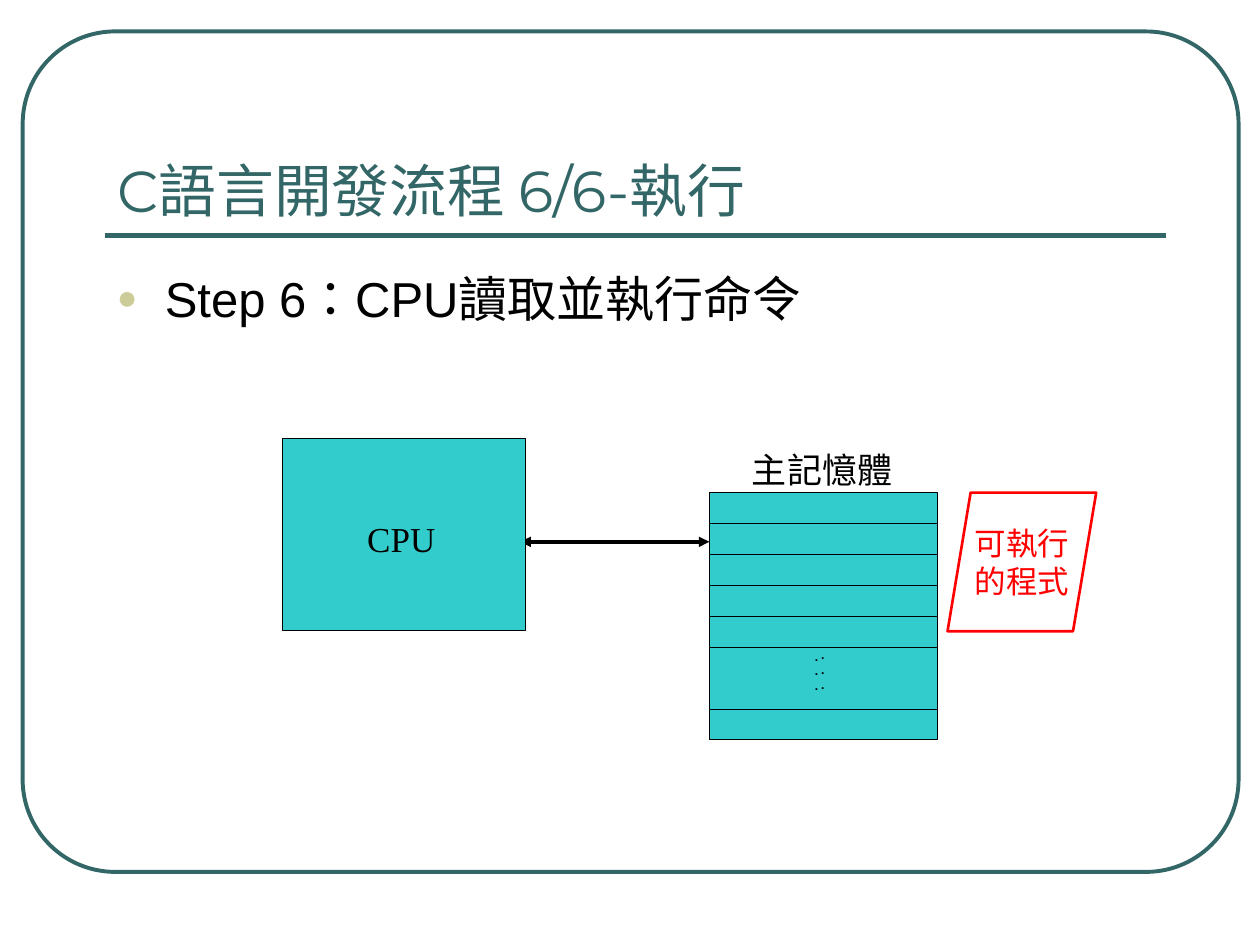
"""Builds the slide on step 6 of the C development flow: the CPU runs commands."""
from lxml import etree
from pptx import Presentation
from pptx.dml.color import RGBColor
from pptx.enum.lang import MSO_LANGUAGE_ID
from pptx.enum.shapes import MSO_CONNECTOR, MSO_SHAPE
from pptx.enum.text import MSO_ANCHOR, MSO_AUTO_SIZE, PP_ALIGN
from pptx.oxml.ns import qn
from pptx.util import Inches, Pt

LEFT, CENTER = PP_ALIGN.LEFT, PP_ALIGN.CENTER
TOP, MIDDLE, BOTTOM = MSO_ANCHOR.TOP, MSO_ANCHOR.MIDDLE, MSO_ANCHOR.BOTTOM
NO_FIT = MSO_AUTO_SIZE.NONE
STRAIGHT = MSO_CONNECTOR.STRAIGHT
RECTANGLE = MSO_SHAPE.RECTANGLE
ROUNDED = MSO_SHAPE.ROUNDED_RECTANGLE
PARALLELOGRAM = MSO_SHAPE.PARALLELOGRAM
CHINESE = MSO_LANGUAGE_ID.TAIWAN if hasattr(MSO_LANGUAGE_ID, "TAIWAN") else MSO_LANGUAGE_ID.TRADITIONAL_CHINESE

COLORS = {"teal": "336666", "aqua": "33CCCC", "sand": "CCCC99",
          "black": "000000", "red": "FF0000"}

TITLE = "C語言開發流程 6/6-執行"
STEP = "Step 6：CPU讀取並執行命令"
CPU = "CPU"
MEMORY = "主記憶體"
PROGRAM = ["可執行", "的程式"]
DOTS = [".", ".", "."]
DOT_BOXES = [(6.38, 5.15, 0.2, 0.54), (6.43, 5.14, 0.2, 0.53)]

CPU_BOX = (2.24, 3.48, 1.93, 1.52)
MEMORY_BOX = (5.63, 3.91, 1.8, 1.96)
CELL_WIDTH = 1.81
CELL_UNITS = [1, 1, 1, 1, 1, 2, 1]


def color(name):
    return RGBColor.from_string(COLORS[name])


def inches(values):
    return [Inches(value) for value in values]


def write(holder, lines, *, size, font="Arial", ink="black", align=LEFT, anchor=TOP,
          bold=False, margins=(0.1, 0.05), wrap=True, before=0):
    frame = holder.text_frame
    frame.auto_size = NO_FIT
    frame.word_wrap = wrap
    frame.vertical_anchor = anchor
    frame.margin_left = frame.margin_right = Inches(margins[0])
    frame.margin_top = frame.margin_bottom = Inches(margins[1])
    frame.text = "\n".join(lines)
    for paragraph in frame.paragraphs:
        paragraph.alignment = align
        paragraph.space_before = Pt(before)
        style = paragraph.runs[0].font
        style.name, style.size, style.bold = font, Pt(size), bold
        style.language_id = CHINESE
        style.color.rgb = color(ink)


def add_text(slide, box, lines, **style):
    holder = slide.shapes.add_textbox(*inches(box))
    write(holder, lines, **style)
    return holder


def add_block(slide, kind, box, *, line, width, fill=None):
    block = slide.shapes.add_shape(kind, *inches(box))
    block.shadow.inherit = False
    if fill:
        block.fill.solid()
        block.fill.fore_color.rgb = color(fill)
    else:
        block.fill.background()
    block.line.color.rgb = color(line)
    block.line.width = Pt(width)
    return block


def add_line(slide, start, end, *, line, width, arrows=False):
    connector = slide.shapes.add_connector(STRAIGHT, *inches(start + end))
    connector.line.color.rgb = color(line)
    connector.line.width = Pt(width)
    if arrows:
        for tag in ("a:headEnd", "a:tailEnd"):
            etree.SubElement(connector.line._get_or_add_ln(), qn(tag), type="triangle")
    etree.SubElement(connector._element.spPr, qn("a:effectLst"))


def add_bullet(paragraph, *, indent, percent, ink):
    properties = paragraph._p.get_or_add_pPr()
    properties.set("marL", str(Inches(indent)))
    properties.set("indent", str(-Inches(indent)))
    tint = etree.SubElement(properties, qn("a:buClr"))
    etree.SubElement(tint, qn("a:srgbClr"), val=COLORS[ink])
    etree.SubElement(properties, qn("a:buSzPct"), val=str(percent * 1000))
    etree.SubElement(properties, qn("a:buFont"), typeface="Arial")
    etree.SubElement(properties, qn("a:buChar"), char="●")


def add_memory(slide):
    left, top, _, height = MEMORY_BOX
    add_block(slide, RECTANGLE, MEMORY_BOX, line="aqua", width=0.25, fill="aqua")
    unit = height / sum(CELL_UNITS)
    for units in CELL_UNITS:
        add_block(slide, RECTANGLE, (left, top, CELL_WIDTH, units * unit),
                  line="black", width=0.25)
        top += units * unit
    for box in DOT_BOXES:
        add_text(slide, box, DOTS, size=7, font="Courier New", bold=True,
                 align=CENTER, margins=(0, 0))
    add_text(slide, (5.87, 3.51, 1.5, 0.44), [MEMORY], size=20)


def main():
    deck = Presentation()
    deck.slide_width, deck.slide_height = Inches(10), Inches(7.5)
    slide = deck.slides.add_slide(deck.slide_layouts[5])

    border = add_block(slide, ROUNDED, (0.18, 0.25, 9.65, 6.67), line="teal", width=2.25)
    border.adjustments[0] = 0.11
    add_line(slide, (0.83, 1.87), (9.25, 1.87), line="teal", width=3)

    title = slide.shapes.title
    title.left, title.top, title.width, title.height = inches((0.83, 0.58, 8.42, 1.25))
    write(title, [TITLE], size=33, font="Montserrat", ink="teal", anchor=BOTTOM)
    step = add_text(slide, (0.83, 2.08, 8.42, 1.27), [STEP], size=28, before=7)
    add_bullet(step.text_frame.paragraphs[0], indent=0.38, percent=70, ink="sand")

    add_line(slide, (5.63, 4.3), (4.13, 4.3), line="black", width=2, arrows=True)
    add_memory(slide)
    add_block(slide, RECTANGLE, CPU_BOX, line="black", width=0.25, fill="aqua")
    add_text(slide, (2.4, 4.11, 1.57, 0.47), [CPU], size=20, font="Times New Roman",
             align=CENTER, margins=(0, 0))

    program = add_block(slide, PARALLELOGRAM, (7.52, 3.91, 1.18, 1.1), line="red", width=1.5)
    program.adjustments[0] = 0.167
    write(program, PROGRAM, size=18, ink="red", align=CENTER, anchor=MIDDLE, wrap=False)

    deck.save("out.pptx")


if __name__ == "__main__":
    main()
